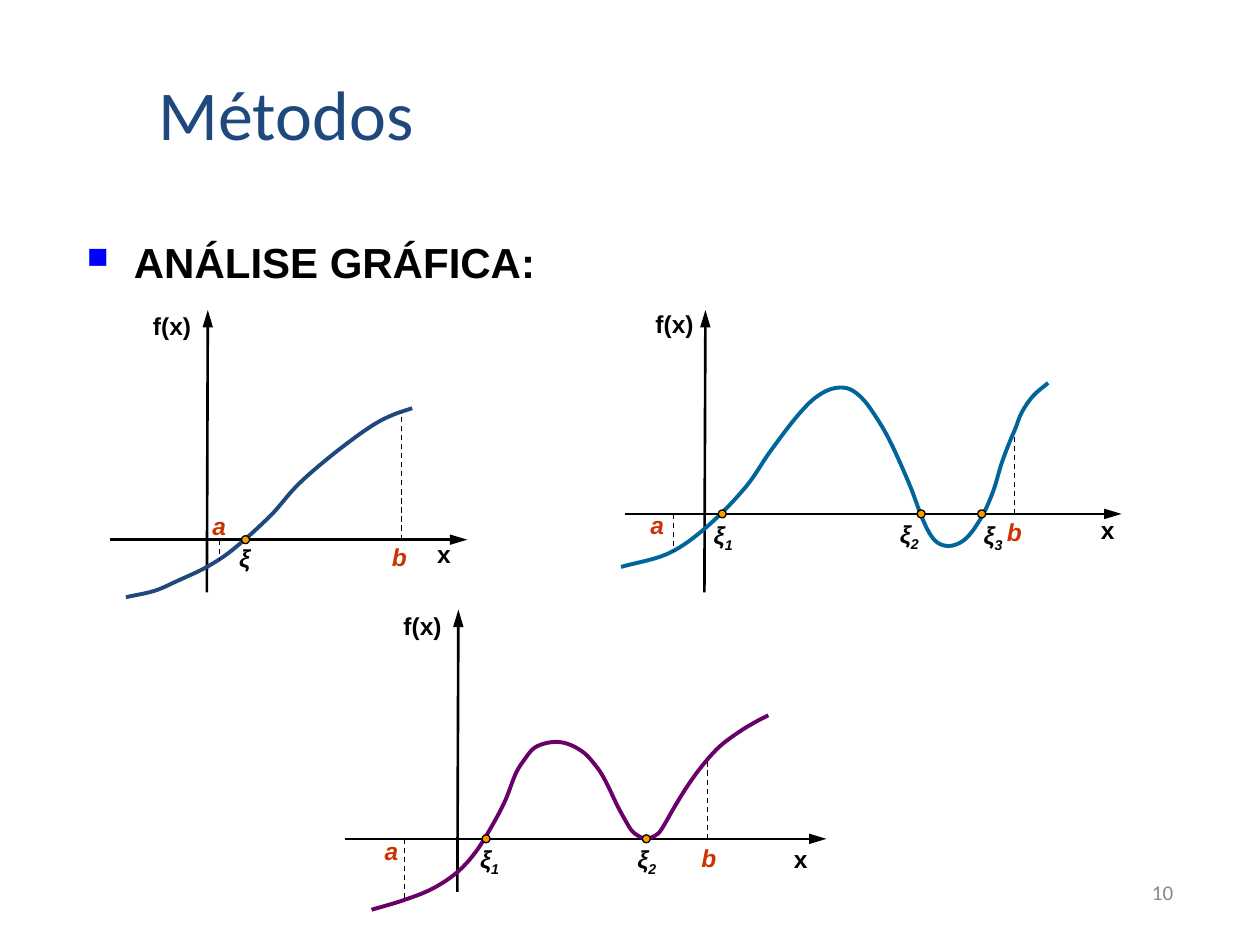
from dataclasses import dataclass
from math import dist

from lxml import etree
from pptx import Presentation
from pptx.dml.color import RGBColor
from pptx.enum.dml import MSO_LINE
from pptx.enum.shapes import MSO_CONNECTOR, MSO_SHAPE
from pptx.enum.text import MSO_ANCHOR, PP_ALIGN
from pptx.oxml.ns import qn
from pptx.util import Cm, Pt

DASH = MSO_LINE.DASH
STRAIGHT = MSO_CONNECTOR.STRAIGHT
OVAL = MSO_SHAPE.OVAL
TOP, MIDDLE, BOTTOM = MSO_ANCHOR.TOP, MSO_ANCHOR.MIDDLE, MSO_ANCHOR.BOTTOM
LEFT, CENTER, RIGHT = PP_ALIGN.LEFT, PP_ALIGN.CENTER, PP_ALIGN.RIGHT

BLACK = RGBColor(0x00, 0x00, 0x00)
NAVY = RGBColor(0x1F, 0x49, 0x7D)
TEAL = RGBColor(0x00, 0x66, 0x99)
PURPLE = RGBColor(0x6A, 0x00, 0x6A)
ORANGE = RGBColor(0xFF, 0x99, 0x00)
RED = RGBColor(0xCC, 0x33, 0x00)
GRAY = RGBColor(0x89, 0x89, 0x89)

TITLE_FONT = {"name": "Calibri", "size": Pt(40)}
NUMBER_FONT = {"name": "Calibri", "size": Pt(12)}
HEADING_FONT = {"name": "Arial", "size": Pt(24), "bold": True}
AXIS_FONT = {"name": "Arial", "size": Pt(14), "bold": True}
POINT_FONT = {**AXIS_FONT, "italic": True}

LABEL_HEIGHT = 0.6
DOT_SIZE = 0.16
LEAN = 0.01     # half the sideways drift of the vertical axes


@dataclass
class Plot:
    """One function graph; lengths in cm, measured from the box's corner."""
    box: tuple      # left, top, width, height of the axes
    origin: tuple   # where the axes cross
    color: RGBColor
    knots: list     # points on the curve
    roots: list     # x of each root on the axis
    bounds: list    # (x, y) ends of the dashed lines from the axis
    labels: list    # (text, center x, top)


PLOTS = [
    Plot(box=(2.21, 6.25, 7.21, 5.69), origin=(1.97, 4.63), color=NAVY,
         knots=[(0.33, 5.79), (0.91, 5.66), (1.37, 5.46), (1.96, 5.18), (2.46, 4.85),
                (3.25, 4.14), (3.76, 3.56), (4.27, 3.10), (4.88, 2.62), (5.36, 2.29),
                (5.72, 2.11), (6.10, 1.98)],
         roots=[2.74],
         bounds=[(2.22, 5.03), (5.89, 2.06)],
         labels=[("f(x)", 1.26, 0.03), ("x", 6.74, 4.62), ("ξ", 2.72, 4.7),
                 ("a", 2.21, 4.06), ("b", 5.84, 4.67)]),
    Plot(box=(12.6, 6.25, 10.01, 5.69), origin=(1.61, 4.11), color=TEAL,
         knots=[(-0.08, 5.18), (0.89, 4.90), (1.65, 4.37), (2.44, 3.56), (2.95, 2.82),
                (3.63, 1.96), (4.06, 1.63), (4.45, 1.57), (4.75, 1.75), (5.03, 2.11),
                (5.33, 2.62), (5.74, 3.53), (5.99, 4.19), (6.17, 4.55), (6.35, 4.72),
                (6.60, 4.75), (6.88, 4.60), (7.19, 4.17), (7.42, 3.66), (7.59, 3.10),
                (7.75, 2.67), (7.87, 2.39), (8.00, 2.06), (8.23, 1.73), (8.53, 1.47)],
         roots=[1.96, 5.97, 7.19],
         bounds=[(0.97, 4.88), (7.85, 2.49)],
         labels=[("f(x)", 1.0, -0.03), ("x", 9.73, 4.14), ("ξ1", 1.98, 4.24),
                 ("ξ2", 5.73, 4.22), ("ξ3", 7.42, 4.24), ("a", 0.65, 4.04),
                 ("b", 7.85, 4.17)]),
    Plot(box=(6.96, 12.29, 9.7, 5.69), origin=(2.27, 4.62), color=PURPLE,
         knots=[(0.53, 6.05), (1.14, 5.87), (1.73, 5.64), (2.24, 5.31), (2.62, 4.90),
                (2.97, 4.34), (3.23, 3.84), (3.45, 3.28), (3.63, 3.00), (3.81, 2.79),
                (4.06, 2.69), (4.32, 2.67), (4.57, 2.74), (4.83, 2.90), (5.03, 3.12),
                (5.16, 3.30), (5.31, 3.58), (5.49, 3.96), (5.66, 4.27), (5.77, 4.45),
                (5.89, 4.55), (6.07, 4.62), (6.30, 4.52), (6.43, 4.34), (6.63, 3.99),
                (6.93, 3.51), (7.26, 3.07), (7.57, 2.74), (7.98, 2.44), (8.28, 2.26),
                (8.53, 2.13)],
         roots=[2.84, 6.07],
         bounds=[(1.19, 5.89), (7.3, 2.97)],
         labels=[("f(x)", 1.56, 0.03), ("x", 9.18, 4.72), ("ξ1", 2.91, 4.72),
                 ("ξ2", 6.08, 4.72), ("a", 0.93, 4.57), ("b", 7.33, 4.7)]),
]


def add_run(paragraph, text, color, font_format):
    run = paragraph.add_run()
    run.text = text
    for name, value in font_format.items():
        setattr(run.font, name, value)
    run.font.color.rgb = color
    return run


def add_text_box(slide, box, alignment, anchor=TOP, margins=(0.25, 0.13)):
    """Add an empty text box and return its first paragraph."""
    frame = slide.shapes.add_textbox(*map(Cm, box)).text_frame
    side, edge = map(Cm, margins)
    settings = {"word_wrap": True, "vertical_anchor": anchor, "margin_left": side,
                "margin_right": side, "margin_top": edge, "margin_bottom": edge}
    for name, value in settings.items():
        setattr(frame, name, value)
    paragraph = frame.paragraphs[0]
    paragraph.alignment = alignment
    return paragraph


def add_heading(slide, box, text):
    paragraph = add_text_box(slide, box, LEFT)
    properties = paragraph._p.get_or_add_pPr()
    properties.set("marL", str(Cm(0.95)))
    properties.set("indent", str(-Cm(0.95)))
    bullet_color = etree.SubElement(properties, qn("a:buClr"))
    etree.SubElement(bullet_color, qn("a:srgbClr"), val="0000FF")
    etree.SubElement(properties, qn("a:buSzPct"), val="70000")
    etree.SubElement(properties, qn("a:buFont"), typeface="Wingdings", charset="2")
    etree.SubElement(properties, qn("a:buChar"), char="n")
    add_run(paragraph, text, BLACK, HEADING_FONT)


def add_line(slide, start, end, width, dashed=False, arrow=False):
    line = slide.shapes.add_connector(STRAIGHT, *map(Cm, (*start, *end)))
    line.line.color.rgb = BLACK
    line.line.width = Pt(width)
    if dashed:
        line.line.dash_style = DASH
    if arrow:
        etree.SubElement(line.line._get_or_add_ln(), qn("a:tailEnd"),
                         type="triangle", w="med", len="lg")
    etree.SubElement(line._element.spPr, qn("a:effectLst"))


def handle(point, before, after, length):
    """Control point a third of length from point, along before to after."""
    scale = length / 3 / dist(before, after)
    return tuple(p + (b - a) * scale for p, a, b in zip(point, before, after))


def add_curve(slide, points, color):
    """Draw a smooth open curve through the points."""
    builder = slide.shapes.build_freeform(*points[0])
    builder.add_line_segments(points[1:], close=False)
    curve = builder.convert_to_shape()
    corner = (curve.left, curve.top)

    # Turn each straight segment into a Bézier segment
    padded = [points[0], *points, points[-1]]
    segments = list(curve._element.iter(qn("a:lnTo")))
    for segment, before, start, end, after in zip(
            segments, padded, padded[1:], padded[2:], padded[3:]):
        length = dist(start, end)
        controls = (handle(start, before, end, length), handle(end, after, start, length))
        segment.tag = qn("a:cubicBezTo")
        for index, control in enumerate(controls):
            x, y = (str(round(c - offset)) for c, offset in zip(control, corner))
            segment.insert(index, segment.makeelement(qn("a:pt"), x=x, y=y))

    curve.shadow.inherit = False
    curve.fill.background()
    curve.line.color.rgb = color
    curve.line.width = Pt(2.25)


def add_label(slide, text, center, top):
    is_axis = text in ("f(x)", "x")
    width = 1.2 if text == "f(x)" else 0.7
    box = (center - width / 2, top, width, LABEL_HEIGHT)
    paragraph = add_text_box(slide, box, CENTER, margins=(0, 0))
    color = RED if text in ("a", "b") else BLACK
    font_format = AXIS_FONT if is_axis else POINT_FONT
    symbol, subscript = (text, "") if is_axis else (text[0], text[1:])
    add_run(paragraph, symbol, color, font_format)
    if subscript:
        run = add_run(paragraph, subscript, color, font_format)
        run.font._element.set("baseline", "-25000")


def add_plot(slide, plot):
    left, top, width, height = plot.box
    axis_x, axis_y = left + plot.origin[0], top + plot.origin[1]

    # Axes and curve
    add_line(slide, (axis_x - LEAN, top + height), (axis_x + LEAN, top), 1.5, arrow=True)
    add_line(slide, (left, axis_y), (left + width, axis_y), 1.5, arrow=True)
    add_curve(slide, [(Cm(left + x), Cm(top + y)) for x, y in plot.knots], plot.color)

    # Interval bounds, roots and labels
    for x, y in plot.bounds:
        add_line(slide, (left + x, axis_y), (left + x, top + y), 0.75, dashed=True)
    for x in plot.roots:
        corner = (left + x - DOT_SIZE / 2, axis_y - DOT_SIZE / 2)
        dot = slide.shapes.add_shape(OVAL, *map(Cm, (*corner, DOT_SIZE, DOT_SIZE)))
        dot.shadow.inherit = False
        dot.fill.solid()
        dot.fill.fore_color.rgb = ORANGE
        dot.line.color.rgb = BLACK
        dot.line.width = Pt(0.75)
    for text, center, label_top in plot.labels:
        add_label(slide, text, left + center, top + label_top)


def main():
    presentation = Presentation()
    presentation.slide_width, presentation.slide_height = Cm(25.4), Cm(19.05)
    slide = presentation.slides.add_slide(presentation.slide_layouts[6])

    # Page number, title and heading
    number = add_text_box(slide, (18.62, 17.35, 5.28, 1.27), RIGHT, MIDDLE)
    add_run(number, "10", GRAY, NUMBER_FONT)
    title = add_text_box(slide, (2.95, 1.47, 21.64, 1.78), LEFT, BOTTOM)
    add_run(title, "Métodos", NAVY, TITLE_FONT)
    add_heading(slide, (1.5, 4.63, 22.66, 1.47), "ANÁLISE GRÁFICA:")

    for plot in PLOTS:
        add_plot(slide, plot)
    presentation.save("out.pptx")


if __name__ == "__main__":
    main()
